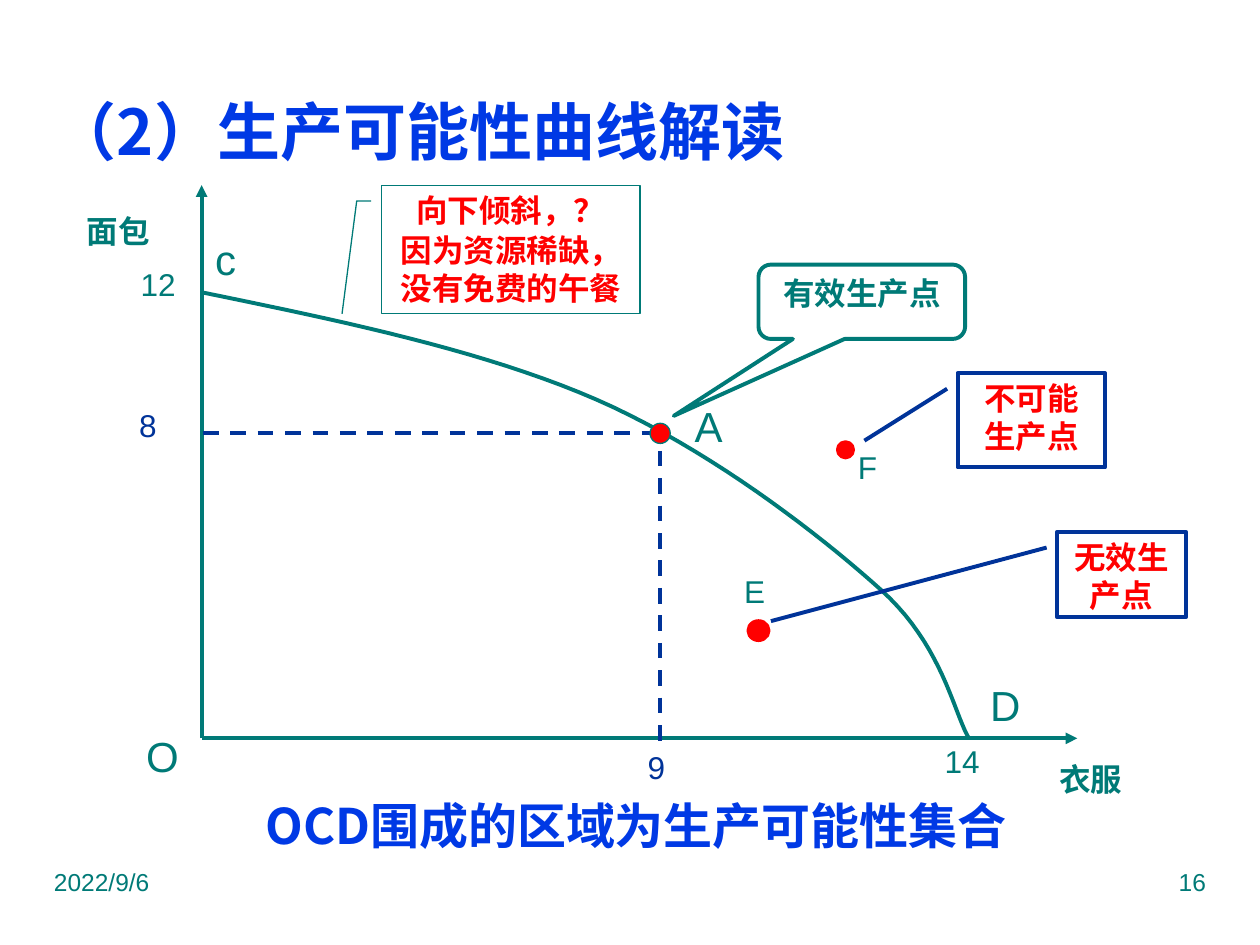
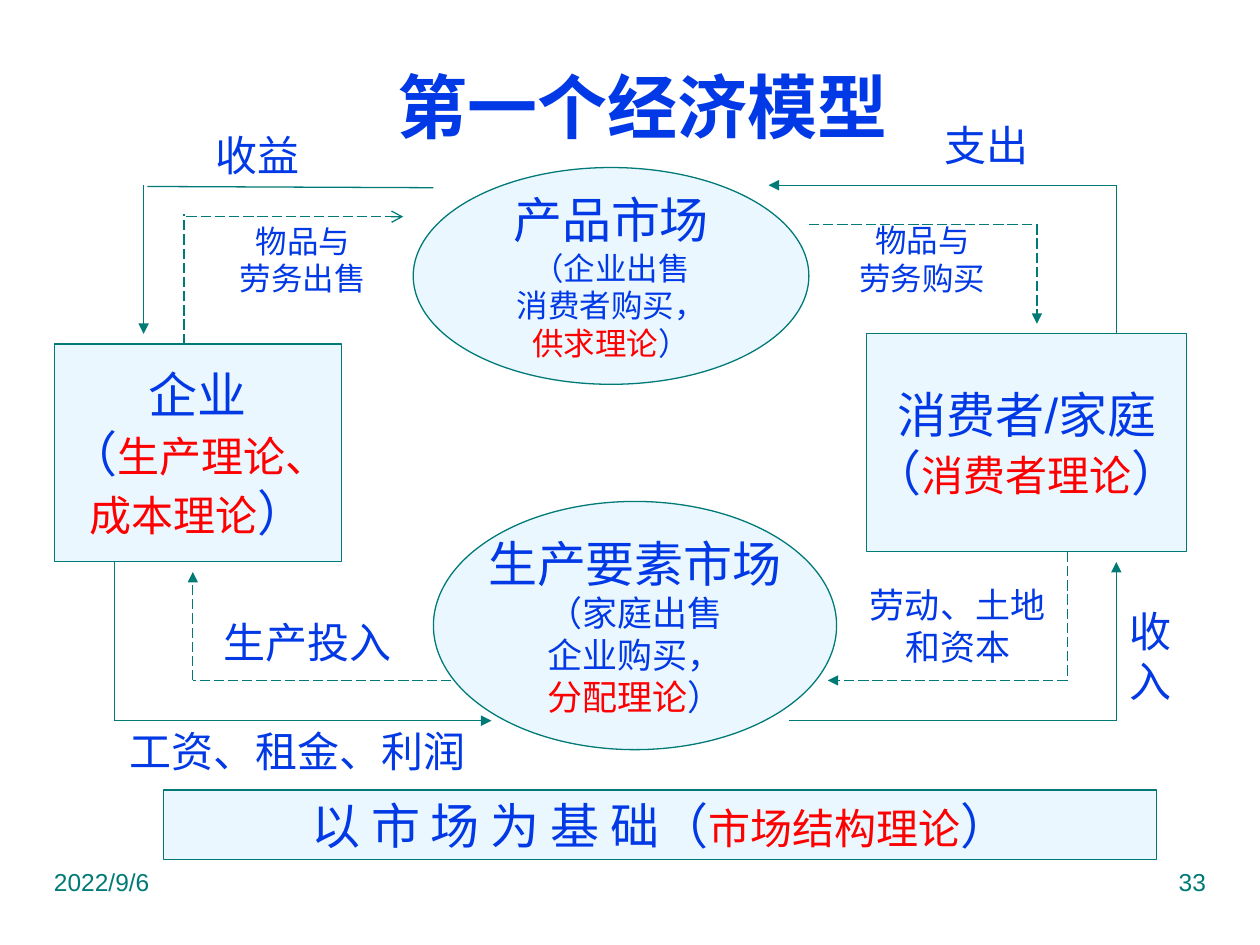
"""Build two economics slides: the production possibility curve and the circular flow model."""
from dataclasses import dataclass
from itertools import pairwise

from lxml.etree import SubElement
from pptx import Presentation
from pptx.dml.color import RGBColor
from pptx.enum.dml import MSO_LINE_DASH_STYLE as Dash
from pptx.enum.shapes import MSO_CONNECTOR as Connector, MSO_SHAPE as Preset
from pptx.enum.text import MSO_ANCHOR as Anchor, PP_ALIGN as Align
from pptx.oxml.ns import qn
from pptx.util import Inches, Pt


@dataclass(frozen=True)
class Theme:
    teal: str = "007A77"
    navy: str = "003399"
    blue: str = "0039E5"
    red: str = "FF0000"
    pale: str = "EBF7FF"
    latin: str = "Arial"
    asian: str = "Noto Sans CJK SC"
    footer: int = 14
    small: int = 18
    medium: int = 20
    label: int = 24
    large: int = 28
    title: int = 36
    headline: int = 40
    thin: float = 0.75
    thick: float = 2.25
    leading: float = 1.2
    margins: float = 0.25


T = Theme()
DATE = "2022/9/6"

CURVE_TITLE = "（2）生产可能性曲线解读"
CURVE_CAPTION = "OCD围成的区域为生产可能性集合"
ORIGIN = (1.6, 5.86)
AXIS_ENDS = [(8.55, 5.86), (1.6, 1.47)]
CURVE_START = (1.6, 2.32)
CURVE_BENDS = [
    ((2.72, 2.55), (3.83, 2.78), (4.73, 3.17)),
    ((5.62, 3.56), (6.49, 4.23), (6.99, 4.68)),
    ((7.48, 5.12), (7.57, 5.66), (7.69, 5.86)),
]
GUIDES = [[(1.61, 3.44), (5.16, 3.44)], [(5.24, 3.36), (5.24, 5.9)]]
AXIS_NAMES = [("面包", (0.59, 1.6, 0.7, 0.46)), ("衣服", (8.31, 5.99, 0.62, 0.39))]
OVAL_LABELS = [
    ("8", (0.98, 3.2, 0.39, 0.35), T.small, T.navy),
    ("9", (5, 5.95, 0.42, 0.27), T.small, T.navy),
    ("A", (5.39, 3.2, 0.47, 0.36), T.label, T.teal),
    ("E", (5.87, 4.54, 0.24, 0.3), T.small, T.teal),
    ("F", (6.73, 3.51, 0.31, 0.39), T.small, T.teal),
    ("O", (1.06, 5.8, 0.46, 0.39), T.label, T.teal),
]
PLAIN_LABELS = [
    ("12", (1.06, 2.1, 0.39, 0.31), T.small, Align.CENTER),
    ("14", (7.44, 5.88, 0.39, 0.31), T.small, Align.CENTER),
    ("c", (1.61, 1.86, 0.31, 0.39), T.label, Align.LEFT),
    ("D", (7.76, 5.4, 0.31, 0.39), T.label, Align.LEFT),
]
CALLOUTS = [
    ("有效生产点", Preset.ROUNDED_RECTANGULAR_CALLOUT, (6.02, 2.1, 1.64, 0.59),
     (-0.91, 1.535, 0.167), T.teal, T.thick, T.teal, T.latin),
    ("无效生产点", Preset.LINE_CALLOUT_1, (8.39, 4.22, 1.02, 0.68),
     (0.185, -0.082, 1.044, -2.227), T.navy, T.thick, T.red, T.latin),
    ("不可能生产点", Preset.LINE_CALLOUT_1, (7.6, 2.96, 1.17, 0.75),
     (0.167, -0.071, 0.717, -0.632), T.navy, T.thick, T.red, T.latin),
    ("向下倾斜，？", Preset.LINE_CALLOUT_2, (3.03, 1.47, 2.05, 1.02),
     (0.122, -0.041, 0.122, -0.097, 1, -0.154), T.teal, T.thin, T.red, T.asian),
]
REASON = ["因为资源稀缺，", "没有免费的午餐"]
POINTS = [
    ((5.94, 4.93, 0.16, 0.15), T.red, T.thick),
    ((6.65, 3.51, 0.12, 0.12), T.red, T.thick),
    ((5.16, 3.36, 0.16, 0.16), T.teal, T.thin),
]

MODEL_TITLE = "第一个经济模型"
ACTORS = [
    (Preset.OVAL, (3.44, 3.98, 3.2, 1.97), [
        [("生产要素市场", T.large, T.blue)],
        [("（家庭出售", T.medium, T.blue)],
        [("企业购买，", T.medium, T.blue)],
        [("分配理论", T.medium, T.red), ("）", T.medium, T.blue)]]),
    (Preset.OVAL, (3.28, 1.33, 3.14, 1.72), [
        [("产品市场", T.large, T.blue)],
        [("（企业出售", T.small, T.blue)],
        [("消费者购买，", T.small, T.blue)],
        [("供求理论", T.small, T.red), ("）", T.small, T.blue)]]),
    (Preset.RECTANGLE, (0.43, 2.73, 2.28, 1.73), [
        [("企业", T.large, T.blue)],
        [("（", T.large, T.blue), ("生产理论、", T.label, T.red)],
        [("成本理论", T.label, T.red), ("）", T.large, T.blue)]]),
    (Preset.RECTANGLE, (6.88, 2.65, 2.54, 1.73), [
        [("消费者/家庭", T.large, T.blue)],
        [("（", T.large, T.blue), ("消费者理论", T.label, T.red), ("）", T.large, T.blue)]]),
    (Preset.RECTANGLE, (1.3, 6.27, 7.88, 0.55), [
        [("以 市 场 为 基 础（", T.large, T.blue), ("市场结构理论", T.label, T.red),
         ("）", T.large, T.blue)]]),
]
MONEY_FLOWS = [
    ([(8.86, 2.65), (8.86, 1.47), (6.1, 1.47)], "triangle"),
    ([(6.26, 5.72), (8.86, 5.72), (8.86, 4.46)], "triangle"),
    ([(0.91, 4.46), (0.91, 5.72), (3.9, 5.72)], "triangle"),
    ([(3.44, 1.49), (1.17, 1.48)], None),
    ([(1.14, 1.47), (1.14, 2.65)], "triangle"),
]
GOODS_FLOWS = [
    ([(6.42, 1.78), (8.23, 1.78), (8.23, 2.57)], "triangle"),
    ([(3.58, 5.4), (1.53, 5.4), (1.53, 4.54)], "triangle"),
    ([(8.47, 4.38), (8.47, 5.4), (6.57, 5.4)], "triangle"),
    ([(1.46, 2.73), (1.46, 1.7)], None),
    ([(1.48, 1.72), (3.2, 1.72)], "arrow"),
]
FLOW_LABELS = [
    (["支出"], (7.28, 0.91, 1.1, 0.47), T.label),
    (["收", "入"], (8.94, 4.85, 0.39, 0.71), T.label),
    (["收益"], (1.61, 1.07, 0.87, 0.32), T.label),
    (["工资、租金、利润"], (1.46, 5.8, 1.81, 0.31), T.label),
    (["生产投入"], (1.77, 4.93, 1.34, 0.32), T.label),
    (["劳动、土地", "和资本"], (7.13, 4.77, 0.94, 0.39), T.medium),
    (["物品与", "劳务购买"], (6.65, 1.86, 1.34, 0.39), T.small),
    (["物品与", "劳务出售"], (1.69, 1.78, 1.43, 0.56), T.small),
]


def color(code):
    return RGBColor.from_string(code)


def lines(texts, size, code):
    return [[(text, size, code)] for text in texts]


def write(box, paragraphs, align=Align.CENTER, anchor=Anchor.MIDDLE, wrap=False,
          bold=False, font=T.latin):
    frame = box.text_frame
    frame.word_wrap = wrap
    frame.vertical_anchor = anchor
    for index, runs in enumerate(paragraphs):
        para = frame.add_paragraph() if index else frame.paragraphs[0]
        para.alignment = align
        para.line_spacing = Pt(T.leading * max(size for _, size, _ in runs))
        for text, size, code in runs:
            span = para.add_run()
            span.text = text
            span.font.size = Pt(size)
            span.font.bold = bold
            span.font.name = font
            span.font.color.rgb = color(code)
            SubElement(span.font._element, qn("a:ea"), typeface=T.asian)


def widen(place, paragraphs, align):
    left, top, width, height = place
    longest = max(sum(len(text) * size for text, size, _ in runs) for runs in paragraphs)
    extra = max(0, longest / 72 + T.margins - width)
    shift = extra / 2 if align == Align.CENTER else 0
    return left - shift, top, width + extra, height


def add_text(page, place, paragraphs, align=Align.CENTER, **style):
    box = page.shapes.add_textbox(*map(Inches, widen(place, paragraphs, align)))
    write(box, paragraphs, align=align, **style)


def paint(shape, fill=None, line=None, width=T.thin):
    shape.shadow.inherit = False
    if fill:
        shape.fill.solid()
        shape.fill.fore_color.rgb = color(fill)
    else:
        shape.fill.background()
    if line:
        shape.line.color.rgb = color(line)
        shape.line.width = Pt(width)
    else:
        shape.line.fill.background()


def add_shape(page, preset, place, **look):
    shape = page.shapes.add_shape(preset, *map(Inches, place))
    paint(shape, **look)
    return shape


def add_route(page, stops, code, width, dash=None, arrow=None):
    legs = list(pairwise(stops))
    for number, (start, end) in enumerate(legs, 1):
        leg = page.shapes.add_connector(Connector.STRAIGHT, *map(Inches, start + end))
        leg.line.color.rgb = color(code)
        leg.line.width = Pt(width)
        if dash:
            leg.line.dash_style = dash
        if arrow and number == len(legs):
            SubElement(leg.line._get_or_add_ln(), qn("a:tailEnd"), type=arrow)
        SubElement(leg._element.spPr, qn("a:effectLst"))


def bend_points(start, first, second, end, steps=20):
    for step in range(1, steps + 1):
        t = step / steps
        weights = ((1 - t) ** 3, 3 * t * (1 - t) ** 2, 3 * t * t * (1 - t), t ** 3)
        yield tuple(
            Inches(sum(weight * value for weight, value in zip(weights, axis)))
            for axis in zip(start, first, second, end)
        )


def add_curve(page):
    builder = page.shapes.build_freeform(*map(Inches, CURVE_START))
    start = CURVE_START
    for bend in CURVE_BENDS:
        builder.add_line_segments(list(bend_points(start, *bend)), close=False)
        start = bend[-1]
    paint(builder.convert_to_shape(), line=T.teal, width=T.thick)


def add_page(deck, number, title, place, size, align, font):
    page = deck.slides.add_slide(deck.slide_layouts[6])
    for text, left, side in ((DATE, 0.33, Align.LEFT), (number, 7.17, Align.RIGHT)):
        add_text(page, (left, 6.83, 2.5, 0.52), lines([text], T.footer, T.teal),
                 align=side, anchor=Anchor.TOP, wrap=True)
    add_text(page, place, lines([title], size, T.blue), align=align, wrap=True,
             bold=True, font=font)
    return page


def build_curve_page(deck):
    page = add_page(deck, "16", CURVE_TITLE, (0.33, 0.67, 9.34, 0.72), T.title,
                    Align.LEFT, T.asian)
    for end in AXIS_ENDS:
        add_route(page, [ORIGIN, end], T.teal, T.thick, arrow="triangle")
    add_curve(page)
    for guide in GUIDES:
        add_route(page, guide, T.navy, T.thick, Dash.DASH)
    for name, place in AXIS_NAMES:
        add_text(page, place, lines([name], T.small, T.teal), align=Align.LEFT, bold=True)
    for text, place, size, code in OVAL_LABELS:
        write(add_shape(page, Preset.OVAL, place), lines([text], size, code))
    for text, place, size, align in PLAIN_LABELS:
        add_text(page, place, lines([text], size, T.teal), align=align)
    for text, preset, place, tips, edge, width, ink, font in CALLOUTS:
        callout = add_shape(page, preset, place, line=edge, width=width)
        for index, tip in enumerate(tips):
            callout.adjustments[index] = tip
        write(callout, lines([text], T.small, ink), anchor=Anchor.TOP, wrap=True,
              bold=True, font=font)
    add_text(page, (3.03, 1.86, 2.05, 0.55), lines(REASON, T.small, T.red),
             bold=True, font=T.asian)
    for place, edge, width in POINTS:
        add_shape(page, Preset.OVAL, place, fill=T.red, line=edge, width=width)
    add_text(page, (2.01, 6.27, 4.41, 0.55), lines([CURVE_CAPTION], T.large, T.blue),
             align=Align.LEFT, bold=True, font=T.asian)


def build_model_page(deck):
    page = add_page(deck, "33", MODEL_TITLE, (0.43, 0.44, 9.34, 0.79), T.headline,
                    Align.CENTER, T.latin)
    for preset, place, paragraphs in ACTORS:
        write(add_shape(page, preset, place, fill=T.pale, line=T.teal), paragraphs)
    for flows, dash in ((MONEY_FLOWS, None), (GOODS_FLOWS, Dash.LONG_DASH)):
        for stops, arrow in flows:
            add_route(page, stops, T.teal, T.thin, dash, arrow)
    for texts, place, size in FLOW_LABELS:
        add_text(page, place, lines(texts, size, T.blue))


def main():
    deck = Presentation()
    deck.slide_width, deck.slide_height = Inches(10), Inches(7.5)
    build_curve_page(deck)
    build_model_page(deck)
    deck.save("out.pptx")


if __name__ == "__main__":
    main()
